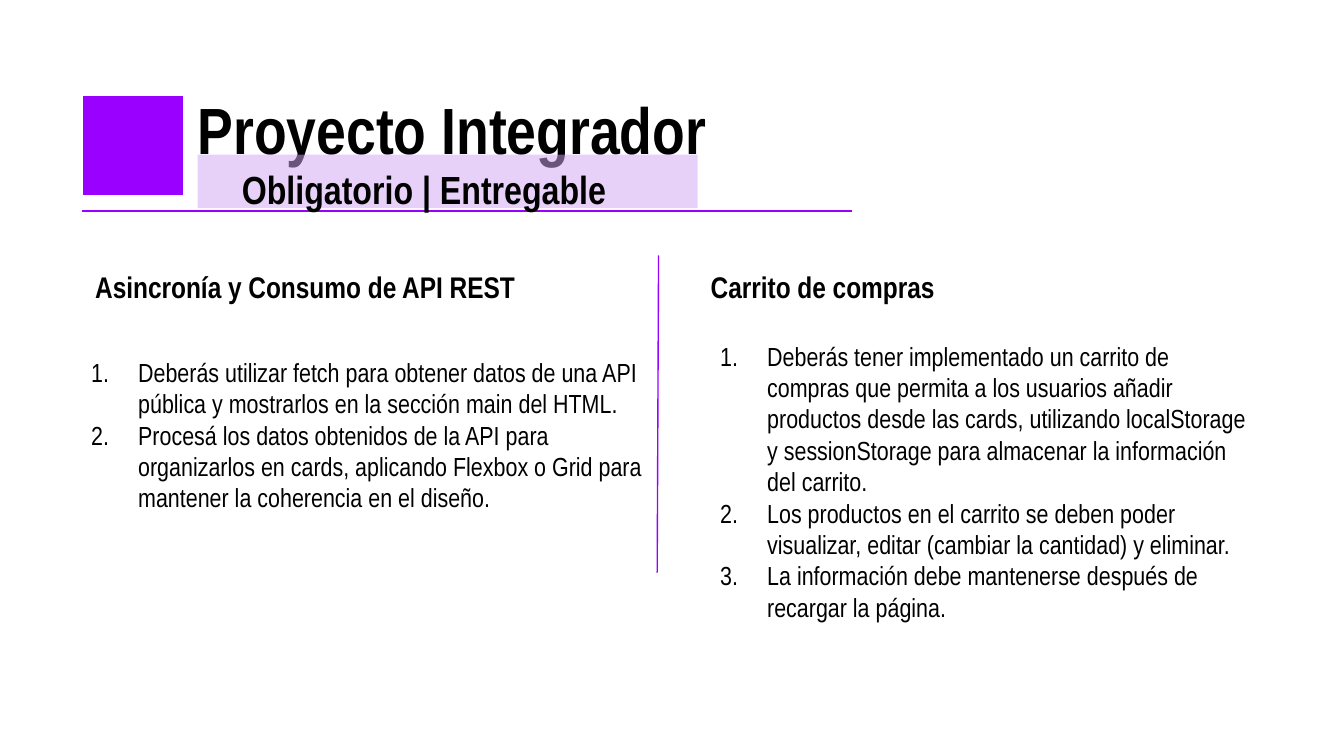
"""Build the slide that sets out the two parts of the Proyecto Integrador."""
from dataclasses import dataclass

from lxml.etree import SubElement
from pptx import Presentation
from pptx.dml.color import RGBColor
from pptx.enum.shapes import MSO_CONNECTOR, MSO_SHAPE
from pptx.enum.text import MSO_ANCHOR, MSO_AUTO_SIZE, PP_ALIGN
from pptx.oxml.ns import qn
from pptx.shapes.autoshape import Shape
from pptx.slide import Slide
from pptx.text.text import TextFrame
from pptx.util import Inches, Pt

FONT = "Arial Narrow"
BLACK = RGBColor(0x00, 0x00, 0x00)
WHITE = RGBColor(0xFF, 0xFF, 0xFF)
PURPLE = RGBColor(0x99, 0x00, 0xFF)
LILAC = RGBColor(0xD2, 0xA6, 0xF4)


@dataclass(frozen=True)
class Box:
    left: float
    top: float
    width: float
    height: float

    def emu(self) -> tuple[int, int, int, int]:
        return tuple(Inches(side) for side in (self.left, self.top, self.width, self.height))


@dataclass(frozen=True)
class Section:
    heading: str
    heading_box: Box
    tasks: tuple[str, ...]
    tasks_box: Box


SECTIONS = (
    Section(
        "Asincronía y Consumo de API REST",
        Box(0.61, 1.9, 4.29, 0.4),
        (
            "Deberás utilizar fetch para obtener datos de una API pública y "
            "mostrarlos en la sección main del HTML.",
            "Procesá los datos obtenidos de la API para organizarlos en cards, "
            "aplicando Flexbox o Grid para mantener la coherencia en el diseño.",
        ),
        Box(0.43, 2.55, 4.47, 1.49),
    ),
    Section(
        "Carrito de compras",
        Box(5.19, 1.9, 4.87, 0.4),
        (
            "Deberás tener implementado un carrito de compras que permita a los "
            "usuarios añadir productos desde las cards, utilizando localStorage y "
            "sessionStorage para almacenar la información del carrito.",
            "Los productos en el carrito se deben poder visualizar, editar "
            "(cambiar la cantidad) y eliminar.",
            "La información debe mantenerse después de recargar la página.",
        ),
        Box(5.11, 2.43, 4.29, 1.49),
    ),
)


def write(frame: TextFrame, lines: tuple[str, ...], size: float, bold: bool = False,
          inset: float = 0.1, spacing: float = 1.0, numbered: bool = False) -> None:
    frame.word_wrap = True
    frame.auto_size = MSO_AUTO_SIZE.NONE
    frame.vertical_anchor = MSO_ANCHOR.TOP
    frame.margin_left = frame.margin_right = Inches(inset)
    frame.margin_top = frame.margin_bottom = Inches(inset)
    frame.text = "\n".join(lines)
    for paragraph in frame.paragraphs:
        paragraph.alignment = PP_ALIGN.LEFT
        paragraph.line_spacing = spacing
        if numbered:
            properties = paragraph._p.get_or_add_pPr()
            properties.set("marL", str(Inches(0.5)))
            properties.set("indent", str(Inches(-0.35)))
            SubElement(properties, qn("a:buAutoNum"), type="arabicPeriod")
        for run in paragraph.runs:
            run.font.name = FONT
            run.font.size = Pt(size)
            run.font.bold = bold
            run.font.color.rgb = BLACK


def add_text(slide: Slide, box: Box, lines: tuple[str, ...], size: float, **style) -> None:
    write(slide.shapes.add_textbox(*box.emu()).text_frame, lines, size, **style)


def add_block(slide: Slide, box: Box, color: RGBColor) -> Shape:
    block = slide.shapes.add_shape(MSO_SHAPE.RECTANGLE, *box.emu())
    block.shadow.inherit = False
    block.fill.solid()
    block.fill.fore_color.rgb = color
    block.line.fill.background()
    return block


def add_rule(slide: Slide, start: tuple[float, float], end: tuple[float, float]) -> None:
    ends = [Inches(value) for value in start + end]
    rule = slide.shapes.add_connector(MSO_CONNECTOR.STRAIGHT, *ends)
    rule.line.color.rgb = PURPLE
    rule.line.width = Pt(0.75)
    SubElement(rule._element.spPr, qn("a:effectLst"))


def add_header(slide: Slide) -> None:
    title = slide.shapes.title
    title.left, title.top, title.width, title.height = Box(1.47, 0.55, 6.85, 0.59).emu()
    write(title.text_frame, ("Proyecto Integrador",), 35, bold=True, inset=0, spacing=1.2)

    square = add_block(slide, Box(0.61, 0.71, 0.76, 0.75), PURPLE)
    square.line.color.rgb = WHITE
    square.line.width = Pt(0.75)

    band = add_block(slide, Box(1.47, 1.15, 3.72, 0.4), LILAC)
    band_color = band._element.spPr.find(qn("a:solidFill"))[0]
    SubElement(band_color, qn("a:alpha"), val="51000")
    add_text(slide, Box(1.8, 1.16, 3.2, 0.35), ("Obligatorio | Entregable",), 21,
             bold=True, inset=0, spacing=1.2)


def main() -> None:
    presentation = Presentation()
    presentation.slide_width = Inches(10)
    presentation.slide_height = Inches(10) * 9 // 16
    slide = presentation.slides.add_slide(presentation.slide_layouts.get_by_name("Title Only"))

    add_rule(slide, (0.61, 1.57), (6.34, 1.57))
    add_rule(slide, (4.9, 1.9), (4.89, 4.26))
    for section in SECTIONS:
        add_text(slide, section.heading_box, (section.heading,), 16, bold=True)
        add_text(slide, section.tasks_box, section.tasks, 14, numbered=True)
    add_header(slide)
    presentation.save("out.pptx")


if __name__ == "__main__":
    main()
